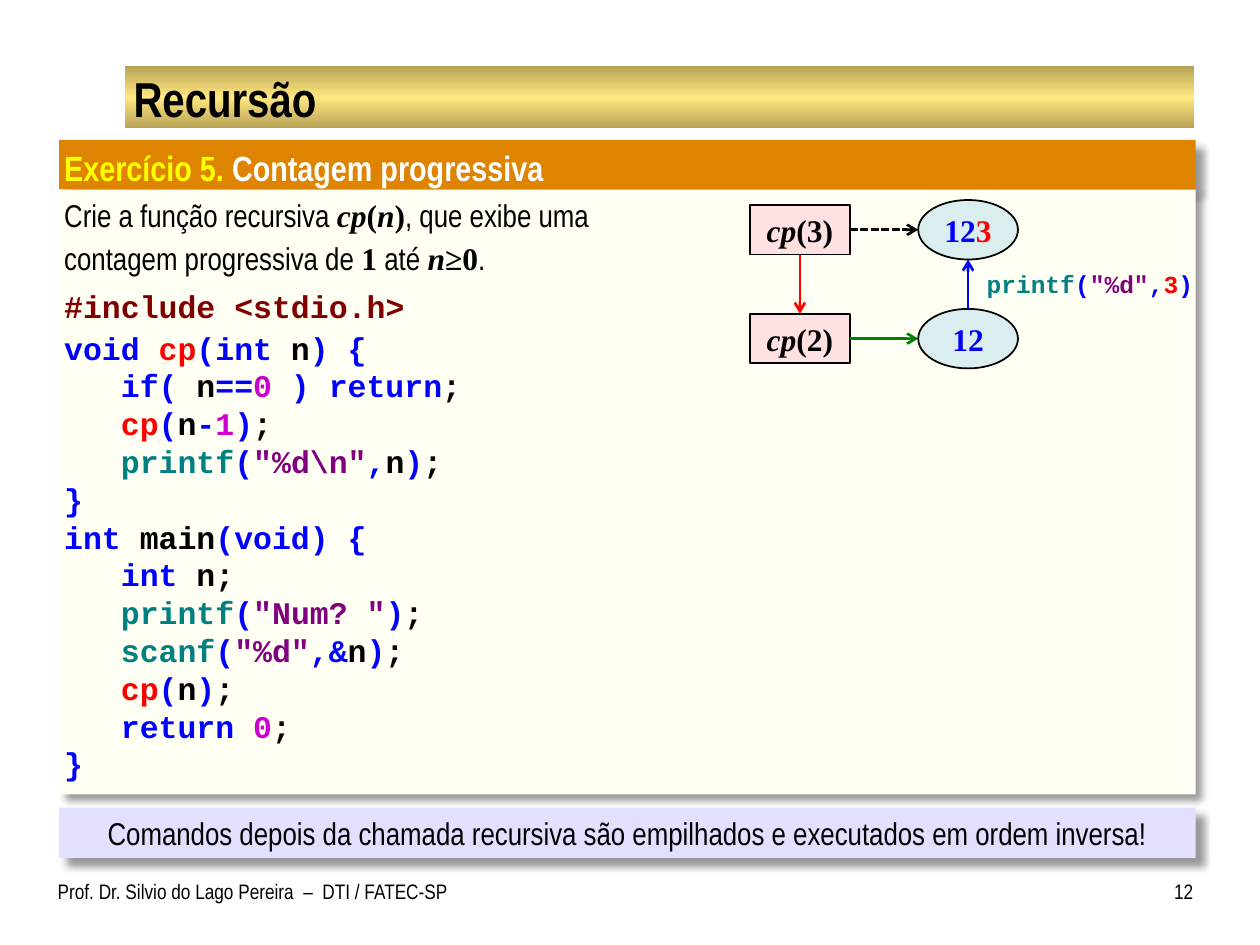
"""Builds the slide on recursion with the counting-up exercise."""
from lxml import etree
from pptx import Presentation
from pptx.dml.color import RGBColor
from pptx.enum import dml, shapes, text
from pptx.oxml import parse_xml
from pptx.oxml.ns import nsdecls, qn
from pptx.util import Pt

COLOURS = {
    "black": "000000", "white": "FFFFFF", "yellow": "FFFF00", "blue": "0000FF",
    "red": "FF0000", "green": "008000", "teal": "008080", "purple": "800080",
    "magenta": "CC00CC", "maroon": "800000", "orange": "DE8400", "cream": "FFFFF3",
    "lilac": "E1E1FF", "pink": "FFE1E1", "ice": "DAEDEF",
    "gold_edge": "B8A255", "gold_mid": "FFE781",
}
RGB = {key: RGBColor.from_string(value) for key, value in COLOURS.items()}
NARROW, SERIF, MONO = "Arial Narrow", "Times New Roman", "Courier New"
STYLES = {"": (NARROW, False, False), "b": (NARROW, True, False),
          "s": (SERIF, True, False), "i": (SERIF, True, True), "m": (MONO, True, False)}
RECT, OVAL = shapes.MSO_SHAPE.RECTANGLE, shapes.MSO_SHAPE.OVAL
LEFT, CENTER, RIGHT = text.PP_ALIGN.LEFT, text.PP_ALIGN.CENTER, text.PP_ALIGN.RIGHT
TOP, MIDDLE = text.MSO_ANCHOR.TOP, text.MSO_ANCHOR.MIDDLE

prs = Presentation()
prs.slide_width, prs.slide_height = Pt(720), Pt(540)
slide = prs.slides.add_slide(prs.slide_layouts[6])


def add_box(box, fill=None, kind=RECT, outlined=False, shadowed=False):
    lengths = [Pt(value) for value in box]
    if fill is None:
        return slide.shapes.add_textbox(*lengths)
    panel = slide.shapes.add_shape(kind, *lengths)
    panel.shadow.inherit = False
    panel.fill.solid()
    panel.fill.fore_color.rgb = RGB[fill]
    if outlined:
        panel.line.color.rgb = RGB["black"]
        panel.line.width = Pt(1)
    else:
        panel.line.fill.background()
    if shadowed:
        panel._element.spPr.find(qn("a:effectLst")).append(parse_xml(
            f'<a:outerShdw {nsdecls("a")} blurRad="{Pt(4)}" dist="{Pt(6)}" dir="2700000" '
            f'algn="tl" rotWithShape="0"><a:srgbClr val="{COLOURS["black"]}">'
            '<a:alpha val="40000"/></a:srgbClr></a:outerShdw>'))
    return panel


def write(panel, lines, size, insets, align=LEFT, anchor=TOP, wrap=True, before=(), spacing=None):
    frame = panel.text_frame
    frame.word_wrap = wrap
    frame.vertical_anchor = anchor
    frame.margin_left, frame.margin_top, frame.margin_right, frame.margin_bottom = map(Pt, insets)
    for number, line in enumerate(lines):
        paragraph = frame.paragraphs[0] if number == 0 else frame.add_paragraph()
        paragraph.alignment = align
        paragraph.space_before = Pt(before[number] if number < len(before) else 0)
        if spacing:
            paragraph.line_spacing = spacing
        for words, colour, style in line:
            run = paragraph.add_run()
            run.text = words
            run.font.size = Pt(size)
            run.font.color.rgb = RGB[colour]
            run.font.name, run.font.bold, run.font.italic = STYLES[style]


title_band = add_box((71.4, 37.8, 611, 35.6), "gold_mid")
title_band.fill.gradient()
title_band.fill.gradient_angle = 90
stops = title_band.fill._fill._gradFill.find(qn("a:gsLst"))
for stop in list(stops):
    stops.remove(stop)
for position, colour in ((0, "gold_edge"), (50, "gold_mid"), (100, "gold_edge")):
    stop = etree.SubElement(stops, qn("a:gs"), pos=str(position * 1000))
    etree.SubElement(stop, qn("a:srgbClr"), val=COLOURS[colour])

write(add_box((33, 498.2, 235.4, 30.2)),
      [[("Prof. Dr. Silvio do Lago Pereira  –  DTI / FATEC-SP", "black", "")]],
      12, (0, 3.6, 7.2, 3.6), wrap=False)
write(add_box((653.8, 498.2, 28, 30.2)), [[("12", "black", "")]],
      12, (7.2, 3.6, 0, 3.6), align=RIGHT)
write(add_box((72, 38.9, 610, 33.8)), [[("Recursão", "black", "b")]],
      28, (4.3, 0.7, 4.3, 0.7), anchor=MIDDLE)

PANEL_LEFT, PANEL_WIDTH, PANEL_INSETS = 33.8, 649.4, (2.9, 3.6, 2.9, 3.6)
write(add_box((PANEL_LEFT, 79.9, PANEL_WIDTH, 28.4), "orange", shadowed=True),
      [[("Exercício 5.", "yellow", "b"), (" Contagem progressiva", "white", "b")]],
      20, PANEL_INSETS)

statement = [
    [("Crie a função recursiva ", "black", ""), ("cp", "black", "i"), ("(", "black", "s"),
     ("n", "black", "i"), (")", "black", "s"), (", que exibe uma ", "black", "")],
    [("contagem progressiva de ", "black", ""), ("1", "black", "s"), (" até ", "black", ""),
     ("n", "black", "i"), ("≥0", "black", "s"), (".", "black", "")],
]
code = [
    [("#include <stdio.h>", "maroon")],
    [("void ", "blue"), ("cp", "red"), ("(int", "blue"), (" n", "black"), (") {", "blue")],
    [("   if(", "blue"), (" n", "black"), ("==", "blue"), ("0 ", "magenta"),
     (") return", "blue"), (";", "black")],
    [("   cp", "red"), ("(", "blue"), ("n", "black"), ("-", "blue"), ("1", "magenta"),
     (")", "blue"), (";", "black")],
    [("   printf", "teal"), ("(", "blue"), ('"%d\\n"', "purple"), (",", "blue"),
     ("n", "black"), (")", "blue"), (";", "black")],
    [("}", "blue")],
    [("int ", "blue"), ("main", "black"), ("(void) {", "blue")],
    [("   int ", "blue"), ("n;", "black")],
    [("   printf", "teal"), ("(", "blue"), ('"Num? "', "purple"), (")", "blue"), (";", "black")],
    [("   scanf", "teal"), ("(", "blue"), ('"%d"', "purple"), (",&", "blue"),
     ("n", "black"), (")", "blue"), (";", "black")],
    [("   cp", "red"), ("(", "blue"), ("n", "black"), (")", "blue"), (";", "black")],
    [("   return ", "blue"), ("0", "magenta"), (";", "black")],
    [("}", "blue")],
]
code_lines = [[(words, colour, "m") for words, colour in line] for line in code]
write(add_box((PANEL_LEFT, 108.4, PANEL_WIDTH, 345.6), "cream", shadowed=True),
      statement + code_lines, 18, PANEL_INSETS, before=(3, 3, 6, 2), spacing=Pt(21.6))

CALL_LEFT, RESULT_LEFT, NODE_WIDTH = 428.6, 524.7, 57
CALL_HEIGHT, RESULT_HEIGHT = 28.4, 34
ROWS = (131.3, 193.5)
results = ([("12", "blue", "s"), ("3", "red", "s")], [("12", "blue", "s")])
for middle, argument, result in zip(ROWS, (3, 2), results):
    write(add_box((CALL_LEFT, middle - CALL_HEIGHT / 2, NODE_WIDTH, CALL_HEIGHT), "pink",
                  outlined=True),
          [[("cp", "black", "i"), (f"({argument})", "black", "s")]],
          18, (7.2, 2.9, 7.2, 2.9), align=CENTER, anchor=MIDDLE)
    write(add_box((RESULT_LEFT, middle - RESULT_HEIGHT / 2, NODE_WIDTH, RESULT_HEIGHT), "ice",
                  OVAL, outlined=True),
          [result], 18, (0, 3.6, 0, 3.6), align=CENTER, anchor=MIDDLE)

call_x, result_x = CALL_LEFT + NODE_WIDTH / 2, RESULT_LEFT + NODE_WIDTH / 2
call_right = CALL_LEFT + NODE_WIDTH
arrows = [
    (call_x, ROWS[0] + CALL_HEIGHT / 2, call_x, ROWS[1] - CALL_HEIGHT / 2, "red"),
    (result_x, ROWS[1] - RESULT_HEIGHT / 2, result_x, ROWS[0] + RESULT_HEIGHT / 2, "blue"),
    (call_right, ROWS[0], RESULT_LEFT, ROWS[0], "black"),
    (call_right, ROWS[1], RESULT_LEFT, ROWS[1], "green"),
]
for *ends, colour in arrows:
    arrow = slide.shapes.add_connector(shapes.MSO_CONNECTOR.STRAIGHT, *map(Pt, ends))
    arrow.line.color.rgb = RGB[colour]
    arrow.line.width = Pt(1.5)
    if colour == "black":
        arrow.line.dash_style = dml.MSO_LINE.SQUARE_DOT
    etree.SubElement(arrow.line._get_or_add_ln(), qn("a:tailEnd"), type="arrow")
    etree.SubElement(arrow._element.spPr, qn("a:effectLst"))

write(add_box((563.8, 148.3, 118.8, 28.1)),
      [[("printf", "teal", "m"), ("(", "blue", "m"), ('"%d"', "purple", "m"),
        (",", "blue", "m"), ("3", "red", "m"), (")", "blue", "m")]],
      14, (0, 2.9, 0, 2.9), anchor=MIDDLE, wrap=False)
write(add_box((PANEL_LEFT, 461.5, PANEL_WIDTH, 28.8), "lilac", shadowed=True),
      [[("Comandos depois da chamada recursiva são empilhados e executados em ordem inversa!",
         "black", "")]], 18, PANEL_INSETS, align=CENTER)

prs.save("out.pptx")
